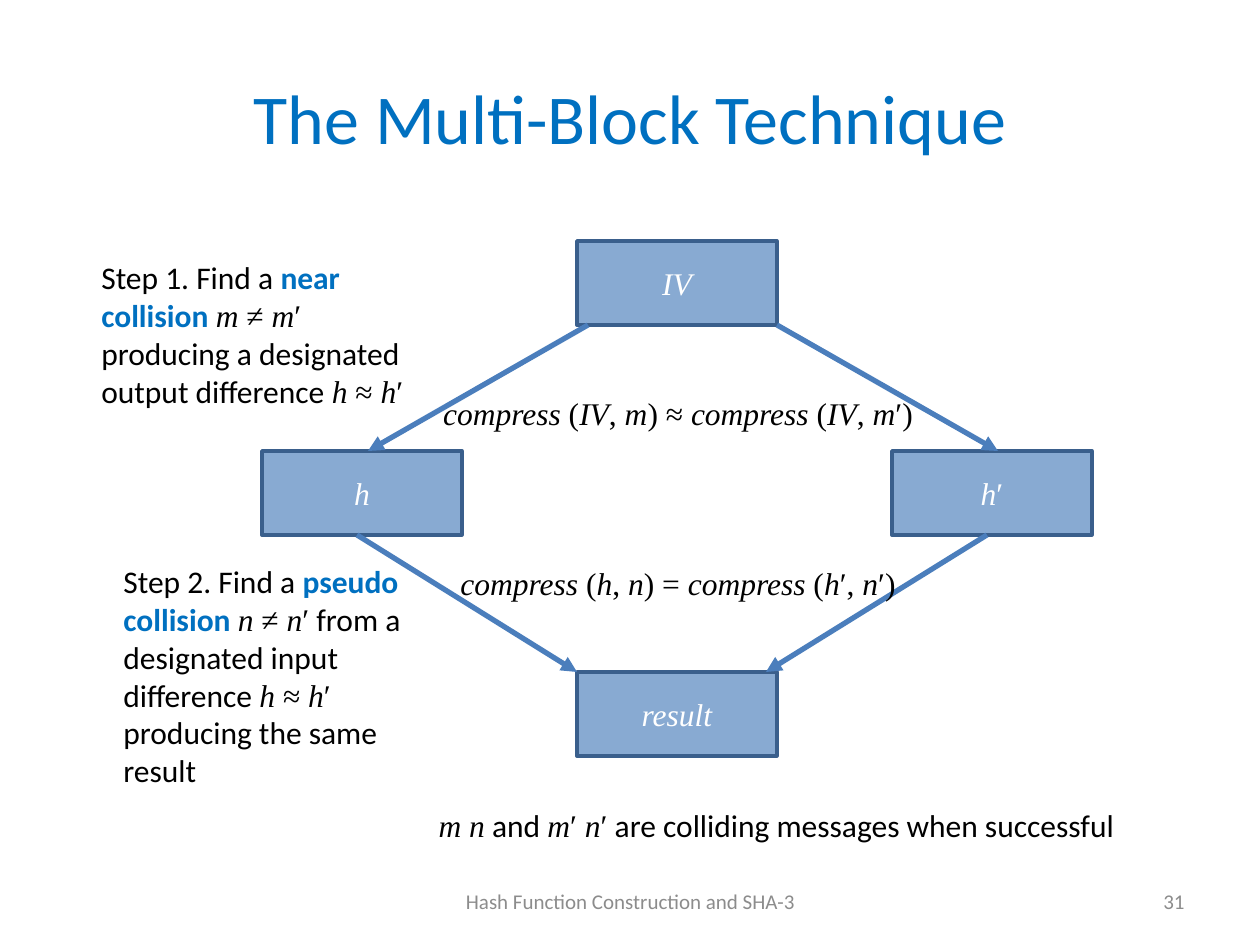
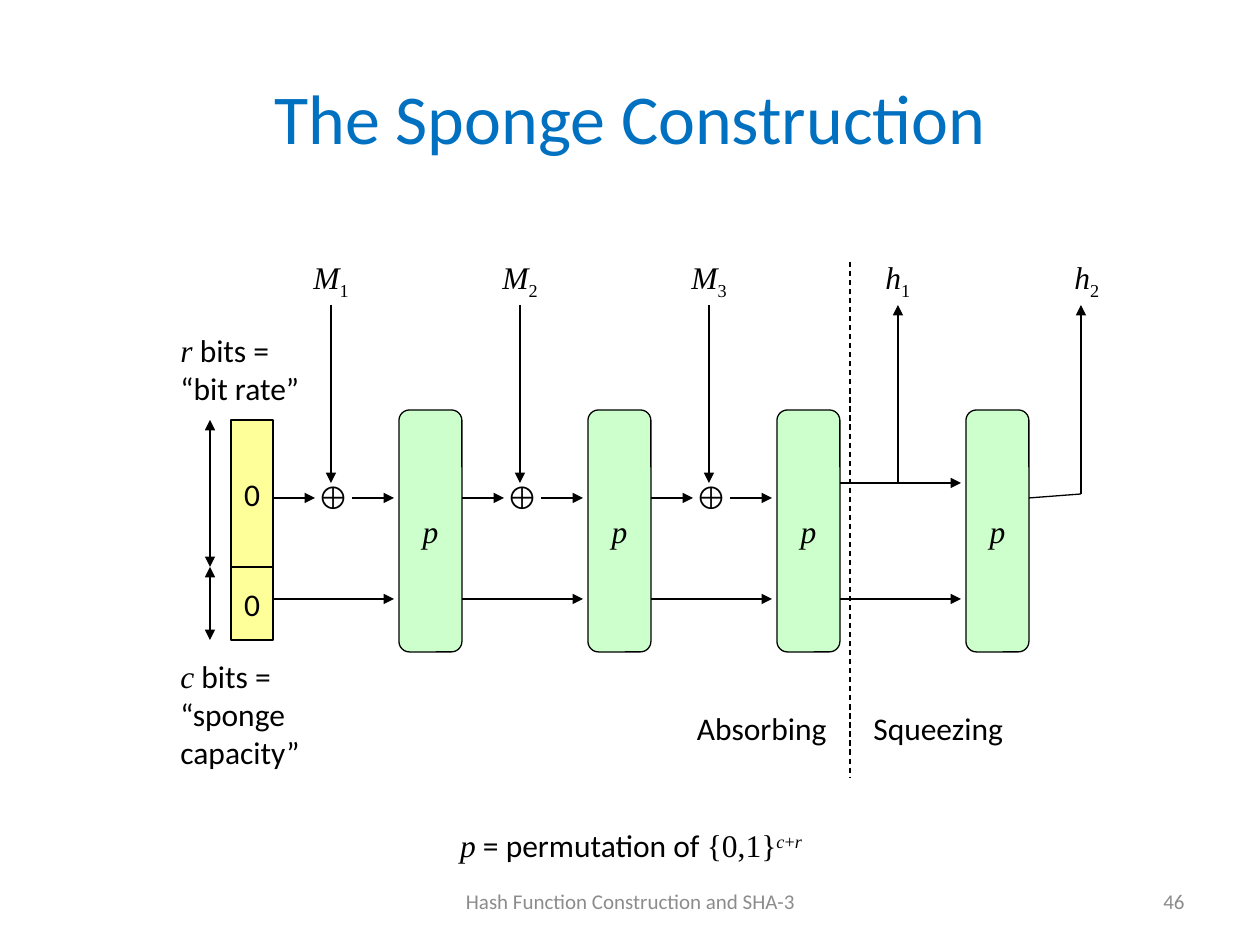
from lxml.etree import SubElement
from pptx import Presentation
from pptx.dml.color import RGBColor
from pptx.enum.dml import MSO_LINE
from pptx.enum.shapes import MSO_CONNECTOR, MSO_SHAPE
from pptx.enum.text import MSO_ANCHOR, PP_ALIGN
from pptx.oxml.ns import qn
from pptx.util import Inches, Pt

PX = 7257  # EMU per px, 126 px to the inch
SANS, SERIF = "Calibri", "Times New Roman"
BLACK, WHITE, BLUE, GREY = "000000", "FFFFFF", "0070C0", "8C8C8C"
NODE_FILL, NODE_BORDER, NODE_ARROW = "4F81BD", "3A5F8C", "4B7EBC"
STATE_FILL, PERMUTATION_FILL = "FFFF99", "CCFFCC"
LEFT, CENTER, RIGHT = PP_ALIGN.LEFT, PP_ALIGN.CENTER, PP_ALIGN.RIGHT
hex_color = RGBColor.from_string

# style: font, bold, italic, baseline shift in 1/1000 %
STYLES = {
    "text": (SANS, False, False, 0),
    "key": (SANS, True, False, 0),
    "var": (SERIF, False, True, 0),
    "math": (SERIF, False, False, 0),
    "sub": (SERIF, False, False, -25000),
    "sup": (SERIF, False, False, 30000),
    "supvar": (SERIF, False, True, 30000),
}


def dress(shape, runs, align=CENTER, anchor=MSO_ANCHOR.TOP, size=18, color=BLACK,
          fill=None, border=BLACK, border_pt=0.75):
    """Write styled runs into a shape; with a fill, also paint it as a diagram block."""
    frame = shape.text_frame
    frame.word_wrap = True
    frame.vertical_anchor = anchor
    if fill:
        shape.shadow.inherit = False
        shape.fill.solid()
        shape.fill.fore_color.rgb = hex_color(fill)
        shape.line.color.rgb = hex_color(border)
        shape.line.width = Pt(border_pt)
        frame.vertical_anchor = MSO_ANCHOR.MIDDLE
        frame.margin_left = frame.margin_right = 0
    paragraph = frame.paragraphs[0]
    paragraph.alignment = align
    for text, style in runs:
        name, bold, italic, baseline = STYLES[style]
        run = paragraph.add_run()
        run.text = text
        font = run.font
        font.name, font.size, font.bold, font.italic = name, Pt(size), bold, italic
        font.color.rgb = hex_color(BLUE if style == "key" else color)
        if baseline:
            run._r.get_or_add_rPr().set("baseline", str(baseline))


def draw_line(slide, start, end, ends=("tailEnd",), color=BLACK, width=0.75, dash=None):
    """Draw a straight connector; ends lists headEnd (start) and tailEnd (end) arrowheads."""
    line = slide.shapes.add_connector(
        MSO_CONNECTOR.STRAIGHT, *[v * PX for v in (*start, *end)])
    line.line.color.rgb = hex_color(color)
    line.line.width = Pt(width)
    if dash:
        line.line.dash_style = dash
    properties = line._element.spPr
    for arrowhead in ends:
        SubElement(properties.find(qn("a:ln")), qn("a:" + arrowhead), type="triangle")
    SubElement(properties, qn("a:effectLst"))


prs = Presentation()
prs.slide_width, prs.slide_height = Inches(10), Inches(7.5)

# Title, footer and page number on both slides
slides = []
for title, page in [("The Multi-Block Technique", "31"), ("The Sponge Construction", "46")]:
    slide = prs.slides.add_slide(prs.slide_layouts[5])
    heading = slide.shapes.title
    heading.left, heading.top, heading.width, heading.height = [
        v * PX for v in (63, 38, 1134, 158)]
    dress(heading, [(title, "text")], anchor=MSO_ANCHOR.MIDDLE, size=40, color=BLUE)
    for box, align, text in [
        ((431, 876, 399, 50), CENTER, "Hash Function Construction and SHA-3"),
        ((903, 876, 294, 50), RIGHT, page),
    ]:
        dress(slide.shapes.add_textbox(*[v * PX for v in box]), [(text, "text")],
              align, MSO_ANCHOR.MIDDLE, 12, GREY)
    slides.append(slide)
multi_block, sponge = slides

# Multi-block technique: four chaining values
for x, y, runs in [
    (577, 241, [("IV", "var")]),
    (262, 451, [("h", "var")]),
    (892, 451, [("h", "var"), ("′", "math")]),
    (577, 672, [("result", "var")]),
]:
    node = multi_block.shapes.add_shape(
        MSO_SHAPE.RECTANGLE, *[v * PX for v in (x, y, 200, 84)])
    dress(node, runs, color=WHITE, fill=NODE_FILL, border=NODE_BORDER, border_pt=2)
    tint = node._element.spPr.find(qn("a:solidFill")).find(qn("a:srgbClr"))
    SubElement(tint, qn("a:alpha"), val="67000")

for start, end in [
    ((588, 325), (368, 451)),
    ((777, 325), (998, 451)),
    ((987, 535), (766, 672)),
    ((357, 535), (577, 672)),
]:
    draw_line(multi_block, start, end, color=NODE_ARROW, width=3)

multi_block_labels = [
    ((426, 388, 504, 50), CENTER, [
        ("compress", "var"), (" (", "math"), ("IV", "var"), (", ", "math"), ("m", "var"),
        (") ≈ ", "math"), ("compress", "var"), (" (", "math"), ("IV", "var"),
        (", ", "math"), ("m", "var"), ("′)", "math")]),
    ((426, 558, 504, 50), CENTER, [
        ("compress", "var"), (" (", "math"), ("h", "var"), (", ", "math"), ("n", "var"),
        (") = ", "math"), ("compress", "var"), (" (", "math"), ("h", "var"),
        ("′, ", "math"), ("n", "var"), ("′)", "math")]),
    ((89, 252, 352, 165), LEFT, [
        ("Step 1. Find a ", "text"), ("near collision ", "key"), ("m ", "var"),
        ("≠ ", "math"), ("m", "var"), ("′ ", "math"),
        ("producing a designated output difference ", "text"), ("h ", "var"),
        ("≈ ", "math"), ("h", "var"), ("′", "math")]),
    ((111, 556, 357, 242), LEFT, [
        ("Step 2. Find a ", "text"), ("pseudo collision ", "key"), ("n ", "var"),
        ("≠ ", "math"), ("n", "var"), ("′", "math"),
        (" from a designated input difference ", "text"), ("h ", "var"),
        ("≈ ", "math"), ("h", "var"), ("′", "math"),
        (" producing the same result", "text")]),
    ((388, 800, 777, 50), CENTER, [
        ("m n", "var"), (" and ", "text"), ("m", "var"), ("′ ", "math"), ("n", "var"),
        ("′", "math"), (" are colliding messages when successful", "text")]),
]

# Sponge construction: initial state, split into rate and capacity
for top, height in [(420, 147), (567, 73)]:
    state = sponge.shapes.add_shape(
        MSO_SHAPE.RECTANGLE, *[v * PX for v in (231, top, 42, height)])
    dress(state, [("0", "text")], fill=STATE_FILL)
    draw_line(sponge, (210, top), (210, top + height), ends=("headEnd", "tailEnd"))

sponge_labels = [
    ((168, 325, 147, 88), LEFT, [("r", "var"), (" bits = “bit rate”", "text")]),
    ((168, 651, 199, 126), LEFT, [("c", "var"), (" bits = “sponge capacity”", "text")]),
    ((577, 703, 262, 50), RIGHT, [("Absorbing", "text")]),
    ((861, 703, 262, 50), LEFT, [("Squeezing", "text")]),
    ((300, 820, 662, 50), CENTER, [
        ("p", "var"), (" = permutation of ", "text"), ("{0,1}", "math"),
        ("c", "supvar"), ("+", "sup"), ("r", "supvar")]),
]

# Four rounds at an equal pitch: three absorb a message block, the last squeezes
ROUND_PITCH = 189
for index, (letter, number) in enumerate(["M1", "M2", "M3", "h1", "h2"]):
    shift = index * ROUND_PITCH
    sponge_labels.append(
        ((294 + shift, 252, 74, 50), CENTER, [(letter, "var"), (number, "sub")]))
    if index == 4:
        continue
    permutation = sponge.shapes.add_shape(
        MSO_SHAPE.ROUNDED_RECTANGLE, *[v * PX for v in (399 + shift, 410, 63, 242)])
    permutation.adjustments[0] = 0.167
    dress(permutation, [("p", "var")], fill=PERMUTATION_FILL)
    draw_line(sponge, (273 + shift, 599), (394 + shift, 599))
    absorbing = letter == "M"
    draw_line(sponge, (331 + shift, 305), (331 + shift, 483),
              ends=("tailEnd",) if absorbing else ("headEnd",))
    if absorbing:
        sponge_labels.append(((305 + shift, 472, 53, 50), CENTER, [("⊕", "math")]))
        draw_line(sponge, (273 + shift, 498), (315 + shift, 498))
        draw_line(sponge, (352 + shift, 498), (394 + shift, 498))
    else:
        draw_line(sponge, (273 + shift, 483), (394 + shift, 483))

# Second output block and the border between the two phases
draw_line(sponge, (1029, 498), (1081, 494), ends=())
draw_line(sponge, (1081, 305), (1081, 494), ends=("headEnd",))
draw_line(sponge, (850, 262), (850, 777), ends=(), dash=MSO_LINE.DASH)

for slide, labels in [(multi_block, multi_block_labels), (sponge, sponge_labels)]:
    for box, align, runs in labels:
        dress(slide.shapes.add_textbox(*[v * PX for v in box]), runs, align)

prs.save("out.pptx")
